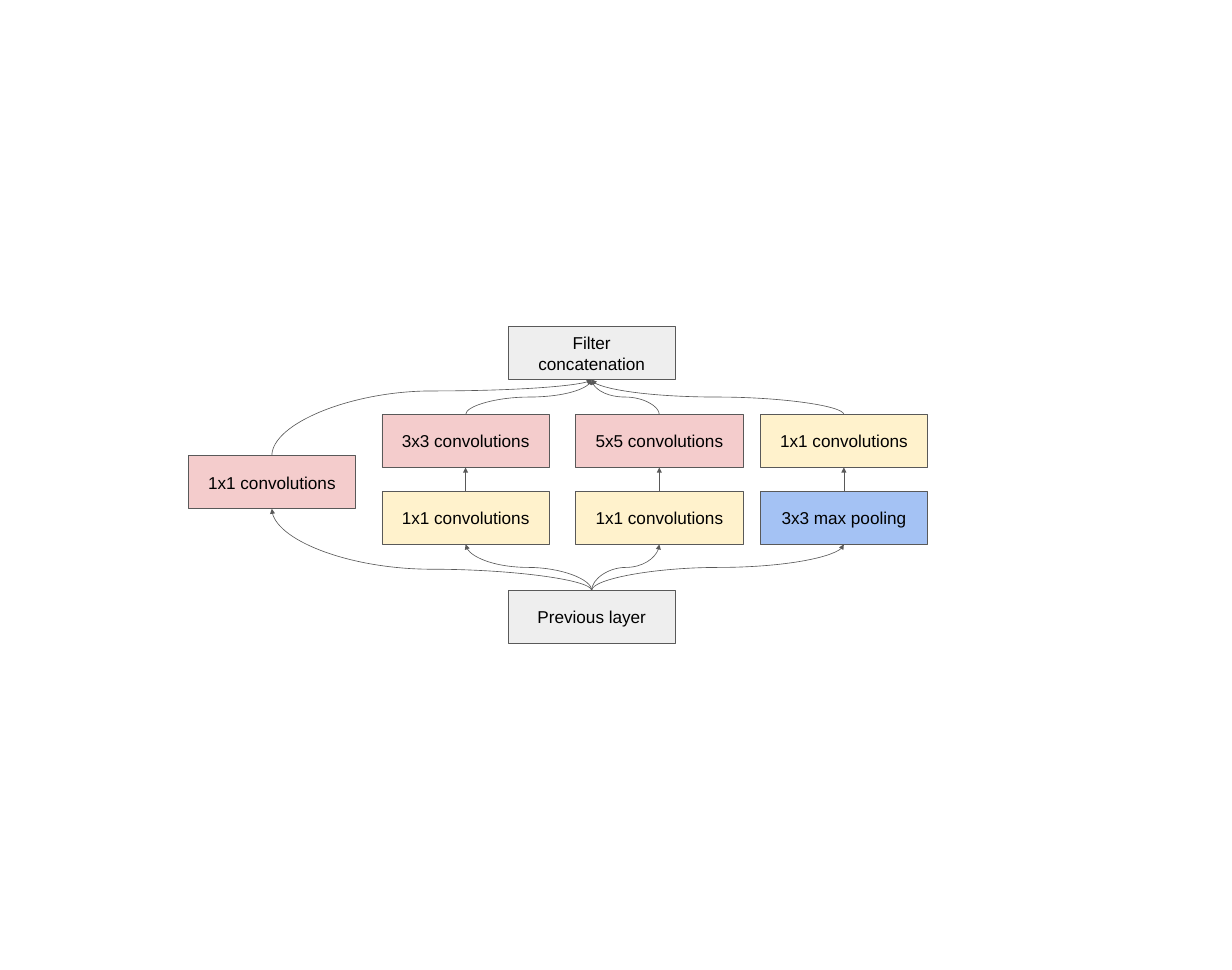
from lxml.etree import SubElement
from pptx import Presentation
from pptx.dml.color import RGBColor
from pptx.enum.shapes import MSO_CONNECTOR, MSO_SHAPE
from pptx.enum.text import MSO_ANCHOR, PP_ALIGN
from pptx.oxml.ns import qn
from pptx.util import Inches, Pt

COLORS = {
    "gray": "EEEEEE",
    "red": "F4CCCC",
    "yellow": "FFF2CC",
    "blue": "A4C2F4",
    "line": "595959",
    "text": "000000",
}
LAYER_WIDTH, LAYER_HEIGHT = 2.72, 0.86
TOP_SITE, BOTTOM_SITE = 0, 2


def color(name):
    """Return the named colour of the diagram."""
    return RGBColor.from_string(COLORS[name])


def add_layer(page, left, top, label, fill):
    """Draw one labelled layer of the network."""
    box = page.shapes.add_shape(MSO_SHAPE.RECTANGLE, Inches(left), Inches(top),
                                Inches(LAYER_WIDTH), Inches(LAYER_HEIGHT))
    box.shadow.inherit = False
    box.fill.solid()
    box.fill.fore_color.rgb = color(fill)
    box.line.color.rgb = color("line")
    box.line.width = Pt(0.75)
    frame = box.text_frame
    frame.word_wrap = True
    frame.vertical_anchor = MSO_ANCHOR.MIDDLE
    frame.margin_left = frame.margin_right = Inches(0.2)
    frame.margin_top = frame.margin_bottom = Inches(0.2)
    para = frame.paragraphs[0]
    para.text = label
    para.alignment = PP_ALIGN.CENTER
    para.font.name = "Arial"
    para.font.size = Pt(20.1)
    para.font.color.rgb = color("text")
    return box


def add_arrow(page, lower, upper, bend=0.5):
    """Draw a curved arrow from the top of one layer to the bottom of another."""
    start_x, start_y = lower.left + lower.width // 2, lower.top
    end_x, end_y = upper.left + upper.width // 2, upper.top + upper.height
    rise, run = start_y - end_y, abs(end_x - start_x)
    arrow = page.shapes.add_connector(MSO_CONNECTOR.CURVE, start_x, start_y, end_x, end_y)
    arrow.begin_connect(lower, TOP_SITE)
    arrow.end_connect(upper, BOTTOM_SITE)
    arrow.left = (start_x + end_x - rise) // 2
    arrow.top = (start_y + end_y - run) // 2
    arrow.width, arrow.height = rise, run
    leftward = end_x < start_x
    properties = arrow._element.spPr
    frame = properties.find(qn("a:xfrm"))
    frame.flipH, frame.flipV = leftward, False
    frame.rot = 90 if leftward else 270
    properties.find(qn("a:prstGeom")).rewrite_guides([("adj1", round(bend * 100000))])
    arrow.line.color.rgb = color("line")
    arrow.line.width = Pt(0.75)
    SubElement(arrow.line._get_or_add_ln(), qn("a:tailEnd"), type="triangle")
    SubElement(properties, qn("a:effectLst"))


def add_inception_module(page, left, top):
    """Draw the module: one input, four parallel branches, one output."""
    middle = left + 5.2
    upper_row, lower_row = top + 1.43, top + 2.68
    previous = add_layer(page, middle, top + 4.29, "Previous layer", "gray")
    output = add_layer(page, middle, top, "Filter concatenation", "gray")

    single = add_layer(page, left, top + 2.1, "1x1 convolutions", "red")
    add_arrow(page, previous, single, 0.26)
    add_arrow(page, single, output, 0.85)

    branches = [
        (3.15, ("1x1 convolutions", "yellow"), ("3x3 convolutions", "red")),
        (6.3, ("1x1 convolutions", "yellow"), ("5x5 convolutions", "red")),
        (9.3, ("3x3 max pooling", "blue"), ("1x1 convolutions", "yellow")),
    ]
    for offset, first, second in branches:
        lower = add_layer(page, left + offset, lower_row, *first)
        upper = add_layer(page, left + offset, upper_row, *second)
        for source, target in ((previous, lower), (lower, upper), (upper, output)):
            add_arrow(page, source, target)


def main():
    """Build the slide and save the deck."""
    deck = Presentation()
    deck.slide_width, deck.slide_height = Inches(20.03), Inches(15.77)
    page = deck.slides.add_slide(deck.slide_layouts[6])
    add_inception_module(page, 3.06, 5.31)
    deck.save("out.pptx")


if __name__ == "__main__":
    main()
